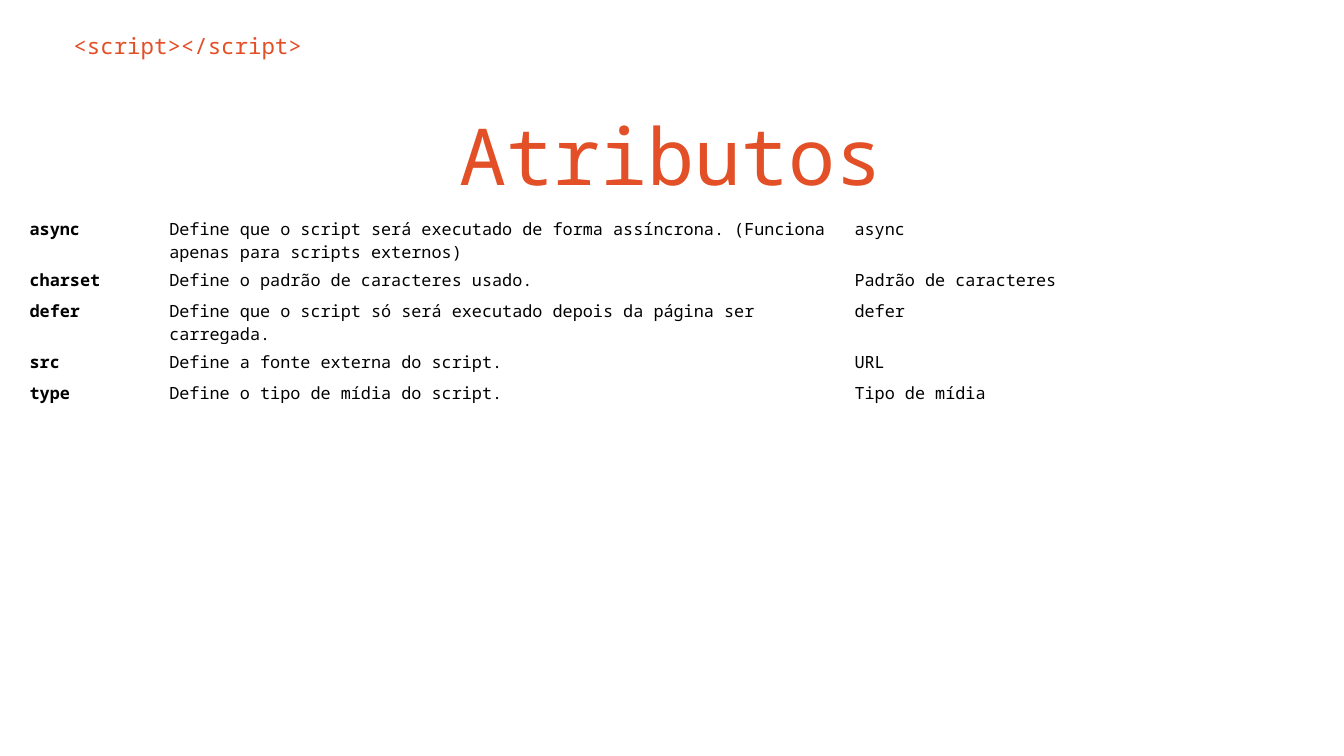
from pptx import Presentation
from pptx.dml.color import RGBColor
from pptx.enum.text import MSO_ANCHOR, PP_ALIGN
from pptx.util import Cm, Pt

FONT = "Noto Sans Mono"
ORANGE, BLACK = "E34F26", "000000"

# Content
HEADER = "<script></script>"
TITLE = "Atributos"
ATTRIBUTES = [
    ("async",
     "Define que o script será executado de forma assíncrona. "
     "(Funciona apenas para scripts externos)",
     "async"),
    ("charset", "Define o padrão de caracteres usado.", "Padrão de caracteres"),
    ("defer",
     "Define que o script só será executado depois da página ser carregada.",
     "defer"),
    ("src", "Define a fonte externa do script.", "URL"),
    ("type", "Define o tipo de mídia do script.", "Tipo de mídia"),
]
COLUMN_WIDTHS = [2.64, 12.95, 8.56]
ROW_HEIGHT = 0.5


def color(value):
    return RGBColor.from_string(value)


def write(frame, text, size, shade, margin, bold=False, align=PP_ALIGN.LEFT):
    frame.word_wrap = True
    frame.margin_left = frame.margin_right = Cm(margin)
    frame.margin_top = frame.margin_bottom = Cm(margin)
    para = frame.paragraphs[0]
    para.alignment = align
    span = para.add_run()
    span.text = text
    span.font.name = FONT
    span.font.size = Pt(size)
    span.font.bold = bold
    span.font.color.rgb = color(shade)


def add_heading(page, text, size, left, top, width, height, align):
    box = page.shapes.add_textbox(Cm(left), Cm(top), Cm(width), Cm(height))
    box.text_frame.vertical_anchor = MSO_ANCHOR.MIDDLE
    write(box.text_frame, text, size, ORANGE, 0.25, align=align)


def add_attributes(page):
    frame = page.shapes.add_table(
        len(ATTRIBUTES), len(COLUMN_WIDTHS), Cm(0.46), Cm(4.01),
        Cm(sum(COLUMN_WIDTHS)), Cm(ROW_HEIGHT * len(ATTRIBUTES)))
    table = frame.table
    table.first_row = table.horz_banding = False
    for column, width in zip(table.columns, COLUMN_WIDTHS):
        column.width = Cm(width)
    for r, texts in enumerate(ATTRIBUTES):
        table.rows[r].height = Cm(ROW_HEIGHT)
        for c, text in enumerate(texts):
            cell = table.cell(r, c)
            cell.fill.background()
            cell.margin_left = cell.margin_right = Cm(0.1)
            cell.margin_top = cell.margin_bottom = Cm(0.1)
            para = cell.text_frame.paragraphs[0]
            span = para.add_run()
            span.text = text
            span.font.name = FONT
            span.font.size = Pt(9)
            span.font.bold = c == 0
            span.font.color.rgb = color(BLACK)


deck = Presentation()
deck.slide_width, deck.slide_height = Cm(25.4), Cm(14.29)
page = deck.slides.add_slide(deck.slide_layouts[6])

# Headings
add_heading(page, HEADER, 12, 1.14, 0.33, 23.32, 1.07, PP_ALIGN.LEFT)
add_heading(page, TITLE, 42, 1.8, 1.83, 21.77, 2.18, PP_ALIGN.CENTER)

# Attribute table
add_attributes(page)

deck.save("out.pptx")
